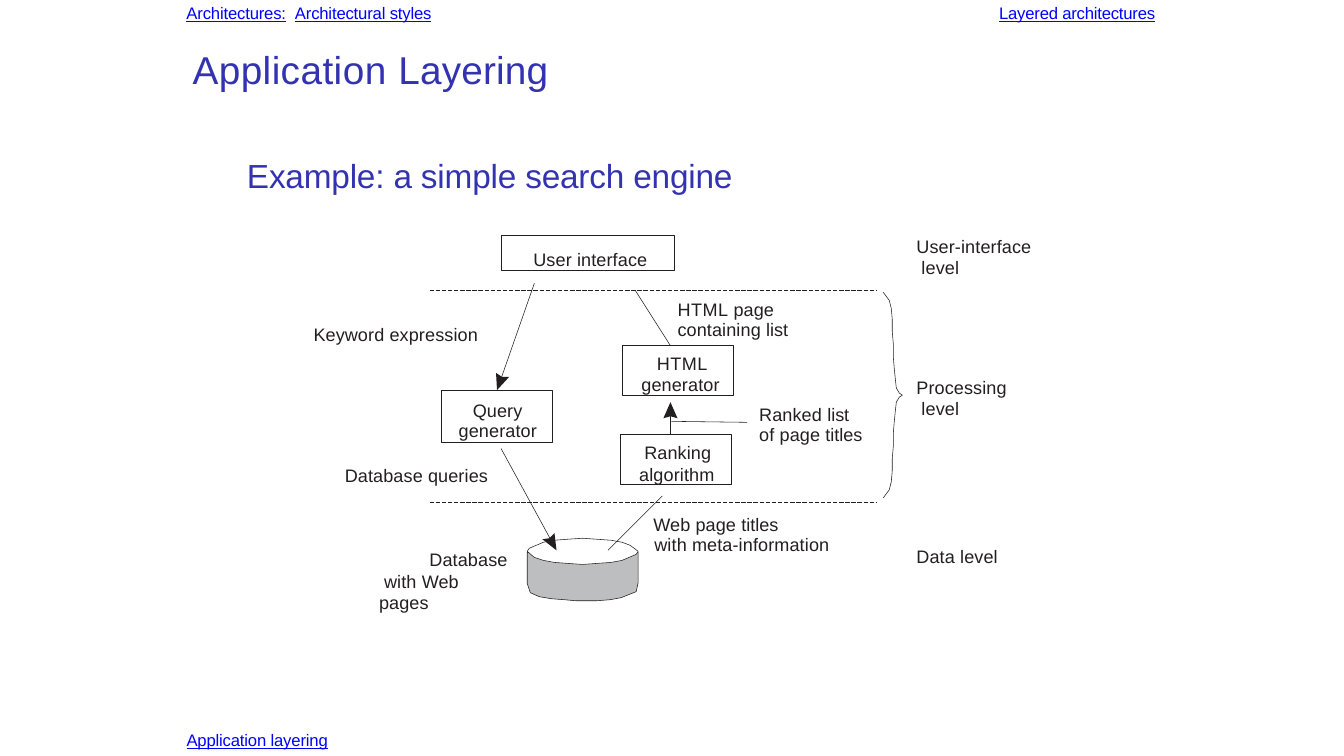
from dataclasses import dataclass, replace
from math import atan2, cos, sin

from lxml.etree import SubElement
from pptx import Presentation
from pptx.dml.color import RGBColor
from pptx.enum.dml import MSO_LINE
from pptx.enum.shapes import MSO_CONNECTOR, MSO_SHAPE
from pptx.enum.text import MSO_ANCHOR, PP_ALIGN
from pptx.oxml.ns import qn
from pptx.util import Pt

SCALE = 9144  # EMU in one px, 100 px to the inch
INK = RGBColor(0x23, 0x1F, 0x20)
INDIGO = RGBColor(0x33, 0x33, 0xB2)
BLUE = RGBColor(0x00, 0x00, 0xFF)
GREY = RGBColor(0xBC, 0xBE, 0xC0)
WHITE = RGBColor(0xFF, 0xFF, 0xFF)


@dataclass(frozen=True)
class Style:
    size: float
    color: RGBColor
    spacing: int  # hundredths of a point between letters
    underline: bool = False


LINK = Style(11.9, BLUE, -10, True)
TITLE = Style(27.7, INDIGO, 30)
SUBTITLE = Style(23.8, INDIGO, -10)
LABEL = Style(12.9, INK, 10)
WIDE = replace(LABEL, spacing=40)
TIGHT = replace(LABEL, spacing=0)


class Diagram:
    font = "Arial"
    line_width = Pt(0.41)

    def __init__(self, page):
        self.page = page

    def fill_text(self, box, lines, inset, leading=None, align=None, gap=0):
        """Each line is (indent, (text, style), ...)."""
        frame = box.text_frame
        frame.word_wrap = True
        frame.vertical_anchor = MSO_ANCHOR.TOP
        frame.margin_left = frame.margin_right = frame.margin_bottom = 0
        frame.margin_top = inset * SCALE
        for number, (indent, *spans) in enumerate(lines):
            para = frame.add_paragraph() if number else frame.paragraphs[0]
            para._p.get_or_add_pPr().set("marL", str(indent * SCALE))
            para.alignment = align or PP_ALIGN.LEFT
            if leading:
                para.line_spacing = Pt(leading)
            if number and gap:
                para.space_before = Pt(gap)
            for text, style in spans:
                span = para.add_run()
                span.text = text
                span.font.name = self.font
                span.font.size = Pt(style.size)
                span.font.color.rgb = style.color
                span.font.underline = style.underline
                span._r.get_or_add_rPr().set("spc", str(style.spacing))

    def text(self, place, lines, inset=3, **layout):
        box = self.page.shapes.add_textbox(*(n * SCALE for n in place))
        self.fill_text(box, lines, inset, **layout)

    def outline(self, shape):
        shape.line.color.rgb = INK
        shape.line.width = self.line_width

    def block(self, place, lines, inset, **layout):
        box = self.page.shapes.add_shape(MSO_SHAPE.RECTANGLE, *(n * SCALE for n in place))
        box.shadow.inherit = False
        box.fill.background()
        self.outline(box)
        self.fill_text(box, lines, inset, **layout)

    def line(self, start, end, dash=None):
        line = self.page.shapes.add_connector(
            MSO_CONNECTOR.STRAIGHT, *(round(n * SCALE) for n in (*start, *end)))
        self.outline(line)
        if dash:
            line.line.dash_style = dash
        SubElement(line._element.spPr, qn("a:effectLst"))

    def outlined_path(self, points, fill=None, outlined=True, closed=True):
        builder = self.page.shapes.build_freeform(*points[0], scale=SCALE)
        builder.add_line_segments(points[1:], close=closed)
        shape = builder.convert_to_shape()
        shape.shadow.inherit = False
        if fill is None:
            shape.fill.background()
        else:
            shape.fill.solid()
            shape.fill.fore_color.rgb = fill
        if outlined:
            self.outline(shape)
        else:
            shape.line.fill.background()

    def arrow(self, start, tip):
        angle = atan2(tip[1] - start[1], tip[0] - start[0])

        def from_tip(back, side):
            return (tip[0] - back * cos(angle) - side * sin(angle),
                    tip[1] - back * sin(angle) + side * cos(angle))

        self.line(start, from_tip(8, 0))
        head = [tip, from_tip(16, 7), from_tip(14, 0), from_tip(16, -7)]
        self.outlined_path(head, INK, outlined=False)


def main():
    deck = Presentation()
    deck.slide_width, deck.slide_height = 1333 * SCALE, 750 * SCALE
    page = deck.slides.add_slide(deck.slide_layouts[6])
    diagram = Diagram(page)

    # Navigation links
    space = Style(11.9, INDIGO, 300)
    diagram.text((182, 0, 253, 23), [
        (3, ("Architectures:", LINK), (" ", space), ("Architectural styles", LINK))])
    diagram.text((988, 0, 163, 23), [(3, ("Layered architectures", replace(LINK, spacing=-15)))])
    diagram.text((182, 722, 148, 22), [(3, ("Application layering", LINK))], inset=2)

    # Headings
    diagram.text((188, 41, 547, 157), [
        (3, ("Application ", TITLE), ("Layering", replace(TITLE, spacing=10))),
        (57, ("Example: a simple search engine", SUBTITLE))], inset=4, gap=45.4)

    # Boxes
    diagram.block((497, 233, 172, 35), [(32, ("User interface", LABEL))], 13)
    diagram.block((438, 387, 110, 52), [
        (31, ("Query", LABEL)), (17, ("generator", LABEL))], 10, leading=14.7)
    diagram.block((617, 343, 110, 49), [
        (9, ("HTML", WIDE)), (6, ("generator", LABEL))], 7, leading=15.1, align=PP_ALIGN.CENTER)
    diagram.block((615, 431, 110, 50), [
        (24, ("Ranking", LABEL)), (19, ("algorithm", LABEL))], 7)

    # Flow labels
    diagram.text((308, 318, 170, 25), [(3, ("Keyword expression", LABEL))])
    diagram.text((339, 458, 149, 25), [(3, ("Database queries", LABEL))])
    diagram.text((373, 541, 136, 46), [
        (53, ("Database", LABEL)), (8, ("with Web", LABEL)), (3, ("pages", LABEL))],
        inset=4, leading=15.1)
    diagram.text((645, 508, 182, 42), [
        (3, ("Web page ", LABEL), ("titles", TIGHT)),
        (4, ("with meta-information", LABEL))], leading=14.4)
    diagram.text((750, 396, 109, 47), [
        (3, ("Ranked ", LABEL), ("list", TIGHT)),
        (3, ("of page ", LABEL), ("titles", TIGHT))], inset=5, leading=14.7)
    diagram.text((669, 292, 116, 47), [
        (3, ("HTML ", WIDE), ("page", LABEL)),
        (3, ("containing", LABEL), (" list", TIGHT))], inset=5, leading=14.7)

    # Level names
    for top, name in ((230, "User-interface"), (370, "Processing")):
        diagram.text((906, top, 120, 47), [(3, (name, LABEL)), (8, ("level", LABEL))],
                     inset=5, leading=14.7)
    diagram.text((906, 538, 87, 25), [(3, ("Data level", LABEL))])

    # Database drum
    diagram.outlined_path([
        (523, 548), (633, 548), (633, 578), (631, 587), (616, 593), (605, 595),
        (592, 596), (571, 596), (560, 595), (547, 594), (535, 592), (526, 588),
        (523, 579)], GREY)
    diagram.outlined_path([
        (578, 534), (592, 535), (606, 536), (617, 538), (625, 541), (633, 547),
        (631, 550), (617, 556), (606, 558), (592, 559), (578, 560), (563, 559),
        (550, 558), (539, 556), (530, 553), (523, 547), (525, 544), (539, 538),
        (550, 536), (563, 535)], WHITE)

    # Level dividers
    for height in (288, 498):
        diagram.line((426, height), (870, height), MSO_LINE.LONG_DASH)

    # Flow lines and arrows
    diagram.arrow((530, 281), (493, 387))
    diagram.arrow((497, 445), (552, 546))
    diagram.arrow((665, 431), (665, 399))
    diagram.line((741, 419), (666, 418))
    diagram.line((603, 546), (657, 492))
    diagram.line((665, 343), (630, 288))

    # Processing brace, mirrored about its point
    upper = [(876, 290), (882, 298), (884, 306), (885, 317), (885, 329), (886, 341),
             (886, 354), (887, 366), (888, 376), (889, 385), (892, 390)]
    point = (895, 392)
    lower = [(x, 2 * point[1] - y) for x, y in reversed(upper)]
    diagram.outlined_path([*upper, point, *lower], closed=False)

    deck.save("out.pptx")


if __name__ == "__main__":
    main()
